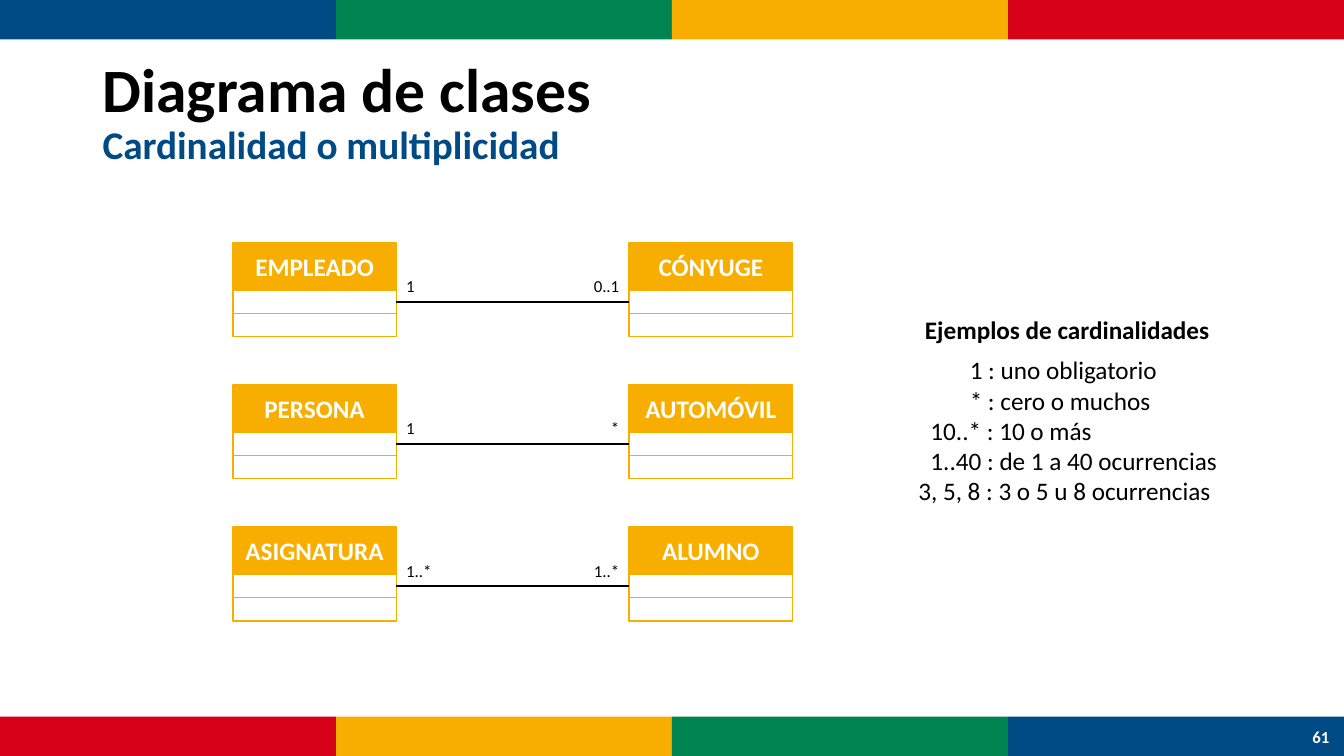
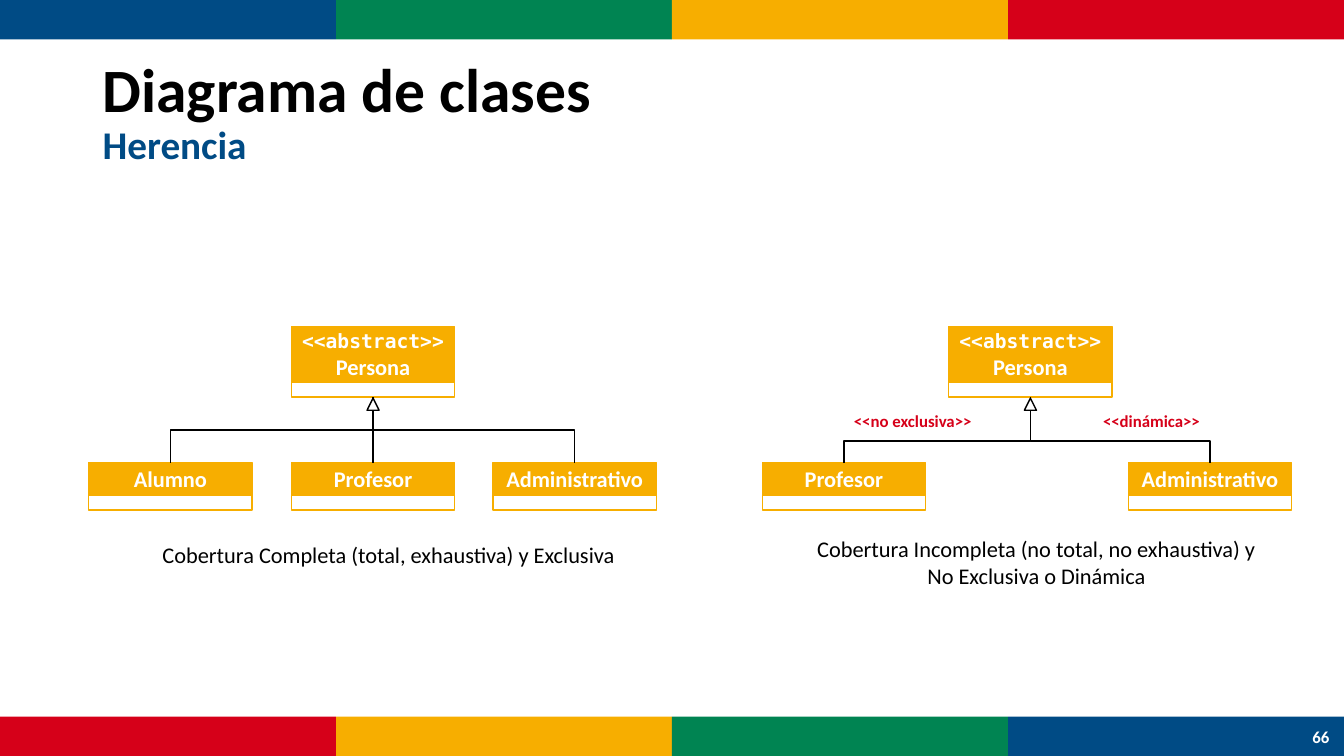
"""Builds two class diagram slides: multiplicity and inheritance."""
from lxml import etree
from pptx import Presentation
from pptx.dml.color import RGBColor
from pptx.enum.shapes import MSO_CONNECTOR, MSO_SHAPE
from pptx.enum.text import MSO_ANCHOR, PP_ALIGN
from pptx.oxml.ns import qn
from pptx.util import Inches, Pt

BLUE = RGBColor(0x00, 0x4B, 0x85)
GREEN = RGBColor(0x00, 0x84, 0x52)
YELLOW = RGBColor(0xF7, 0xAE, 0x00)
RED = RGBColor(0xD6, 0x00, 0x19)
BLACK = RGBColor(0, 0, 0)
WHITE = RGBColor(0xFF, 0xFF, 0xFF)
BAND_COLOURS = [BLUE, GREEN, YELLOW, RED]

FONT = "Calibri"
MONO = "DejaVu Sans Mono"
SLIDE_W, SLIDE_H = 13.33, 7.5
BAND_H = 0.39
CLASS_W = 1.62

ROW_TOP, ROW_PITCH = 2.41, 1.41
LEFT_X, RIGHT_X = 2.31, 6.24
LABEL_W, LABEL_H = 0.49, 0.3

PARENT_TOP, CHILD_TOP = 3.24, 4.59
PARENT_HEAD, CHILD_HEAD, MEMBERS_H = 0.55, 0.32, 0.15
PARENT_BOTTOM = PARENT_TOP + PARENT_HEAD + MEMBERS_H
ARROW = 0.12


def style(paragraph, size, colour=BLACK, bold=False, align=PP_ALIGN.LEFT, font=FONT):
    """Set the font and alignment of a paragraph."""
    paragraph.alignment = align
    paragraph.font.name = font
    paragraph.font.size = Pt(size)
    paragraph.font.bold = bold
    paragraph.font.color.rgb = colour


def add_box(slide, x, y, w, h, fill=None, line=None, kind=MSO_SHAPE.RECTANGLE):
    """Add a flat preset shape."""
    box = slide.shapes.add_shape(kind, Inches(x), Inches(y), Inches(w), Inches(h))
    box.shadow.inherit = False
    if fill is None:
        box.fill.background()
    else:
        box.fill.solid()
        box.fill.fore_color.rgb = fill
    if line is None:
        box.line.fill.background()
    else:
        box.line.color.rgb = line
        box.line.width = Pt(1)
    return box


def add_frame(slide, x, y, w, h, anchor=MSO_ANCHOR.TOP):
    """Add a wrapping text box and return its text frame."""
    frame = slide.shapes.add_textbox(Inches(x), Inches(y), Inches(w), Inches(h)).text_frame
    frame.word_wrap = True
    frame.vertical_anchor = anchor
    return frame


def add_label(slide, text, x, y, w, h, size, anchor=MSO_ANCHOR.TOP, **look):
    """Add a text box holding one paragraph."""
    paragraph = add_frame(slide, x, y, w, h, anchor).paragraphs[0]
    paragraph.text = text
    style(paragraph, size, **look)


def add_line(slide, kind, x1, y1, x2, y2):
    """Add a thin black connector without shadow."""
    line = slide.shapes.add_connector(kind, Inches(x1), Inches(y1), Inches(x2), Inches(y2))
    line.line.color.rgb = BLACK
    line.line.width = Pt(1)
    etree.SubElement(line._element.spPr, qn("a:effectLst"))
    return line


def join(slide, start, start_side, end, end_side):
    """Join the sides of two rectangles with a straight connector."""
    line = add_line(slide, MSO_CONNECTOR.STRAIGHT, 0, 0, 1, 1)
    line.begin_connect(start, start_side)
    line.end_connect(end, end_side)


def add_elbow_up(slide, x1, y1, x2, y2, bend):
    """Add an elbow that rises, crosses at the bend and rises again."""
    rise, run = y1 - y2, abs(x2 - x1)
    left = (x1 + x2 - rise) / 2
    top = (y1 + y2 - run) / 2
    elbow = add_line(slide, MSO_CONNECTOR.ELBOW, left, top, left + rise, top + run)
    frame = elbow._element.spPr.find(qn("a:xfrm"))
    rightwards = x2 > x1
    frame.set("rot", str((90 if rightwards else 270) * 60000))
    frame.set("flipH", "1" if rightwards else "0")
    frame.set("flipV", "1")
    adjustments = elbow._element.spPr.find(qn("a:prstGeom")).get_or_add_avLst()
    etree.SubElement(adjustments, qn("a:gd"), name="adj1", fmla=f"val {round(bend * 100000)}")


def add_class(slide, x, y, heading, head_h, row_h, rows=1):
    """Add a class with heading lines and empty rows; return all its boxes."""
    head = add_box(slide, x, y, CLASS_W, head_h, YELLOW, YELLOW)
    frame = head.text_frame
    frame.vertical_anchor = MSO_ANCHOR.MIDDLE
    frame.margin_left = frame.margin_right = frame.margin_top = frame.margin_bottom = 0
    for i, (text, size, font) in enumerate(heading):
        paragraph = frame.add_paragraph() if i else frame.paragraphs[0]
        paragraph.text = text
        style(paragraph, size, WHITE, True, PP_ALIGN.CENTER, font)
    members = [add_box(slide, x, y + head_h + i * row_h, CLASS_W, row_h, line=YELLOW)
               for i in range(rows)]
    return [head, *members]


def add_base(deck, subtitle, number):
    """Add a slide with colour bands, title and page number."""
    slide = deck.slides.add_slide(deck.slide_layouts[6])
    band_w = SLIDE_W / len(BAND_COLOURS)
    for y, colours in ((0, BAND_COLOURS), (SLIDE_H - BAND_H, BAND_COLOURS[::-1])):
        for i, colour in enumerate(colours):
            add_box(slide, i * band_w, y, band_w, BAND_H, colour)
    title = add_frame(slide, 0.92, 0.4, 11.5, 1.45, MSO_ANCHOR.MIDDLE).paragraphs[0]
    style(title, 44, bold=True)
    title.line_spacing = 0.9
    title.add_run().text = "Diagrama de clases"
    title.add_line_break()
    topic = title.add_run()
    topic.text = subtitle
    topic.font.size = Pt(28)
    topic.font.color.rgb = BLUE
    add_label(slide, number, 12.87, 7.11, 0.46, 0.4, 12, MSO_ANCHOR.MIDDLE,
              colour=WHITE, bold=True, align=PP_ALIGN.CENTER)
    return slide


def add_association(slide, y, left, left_count, right_count, right):
    """Add two associated classes with their multiplicities."""
    first, second = [add_class(slide, x, y, [(name, 18, FONT)], 0.47, 0.23, 2)
                     for x, name in ((LEFT_X, left), (RIGHT_X, right))]
    join(slide, first[1], 3, second[1], 1)
    label_y = y + 0.28
    add_label(slide, left_count, LEFT_X + CLASS_W, label_y, LABEL_W, LABEL_H, 12)
    add_label(slide, right_count, RIGHT_X - LABEL_W, label_y, LABEL_W, LABEL_H, 12,
              align=PP_ALIGN.RIGHT)


def add_hierarchy(slide, parent_x, children, bend):
    """Add an abstract class with its subclasses below."""
    heading = [("<<abstract>>", 14, MONO), ("Persona", 16, FONT)]
    parent = add_class(slide, parent_x, PARENT_TOP, heading, PARENT_HEAD, MEMBERS_H)
    centre = parent_x + CLASS_W / 2
    for name, x in children:
        child = add_class(slide, x, CHILD_TOP, [(name, 16, FONT)], CHILD_HEAD, MEMBERS_H)
        if x == parent_x:
            join(slide, child[0], 0, parent[-1], 2)
        else:
            add_elbow_up(slide, x + CLASS_W / 2, CHILD_TOP, centre, PARENT_BOTTOM, bend)
    add_box(slide, centre - ARROW / 2, PARENT_BOTTOM + 0.01, ARROW, ARROW, WHITE, BLACK,
            MSO_SHAPE.ISOSCELES_TRIANGLE)


def build_multiplicity(deck):
    """Build the slide on multiplicity."""
    slide = add_base(deck, "Cardinalidad o multiplicidad", "61")
    associations = [("EMPLEADO", "1", "0..1", "CÓNYUGE"),
                    ("PERSONA", "1", "*", "AUTOMÓVIL"),
                    ("ASIGNATURA", "1..*", "1..*", "ALUMNO")]
    for i, association in enumerate(associations):
        add_association(slide, ROW_TOP + i * ROW_PITCH, *association)

    add_label(slide, "Ejemplos de cardinalidades", 8.75, 3.07, 3.67, 0.4, 18,
              bold=True, align=PP_ALIGN.CENTER)
    examples = [("1 : uno obligatorio", 0.77), ("* : cero o muchos", 0.77),
                ("10..* : 10 o más", 0.38), ("1..40 : de 1 a 40 ocurrencias", 0.38),
                ("3, 5, 8 : 3 o 5 u 8 ocurrencias", 0.26)]
    frame = add_frame(slide, 8.75, 3.47, 3.67, 1.65)
    for i, (example, indent) in enumerate(examples):
        paragraph = frame.add_paragraph() if i else frame.paragraphs[0]
        paragraph.text = example
        paragraph._p.get_or_add_pPr().set("marL", str(Inches(indent)))
        style(paragraph, 18)


def build_inheritance(deck):
    """Build the slide on inheritance."""
    slide = add_base(deck, "Herencia", "66")
    add_hierarchy(slide, 2.89, [("Alumno", 0.88), ("Profesor", 2.89),
                                ("Administrativo", 4.89)], 0.5)
    add_hierarchy(slide, 9.41, [("Profesor", 7.56), ("Administrativo", 11.19)], 0.33)
    add_label(slide, "<<no exclusiva>>", 8.37, 4.03, 1.85, 0.3, 12, colour=RED, bold=True)
    add_label(slide, "<<dinámica>>", 10.22, 4.03, 1.78, 0.3, 12, colour=RED, bold=True,
              align=PP_ALIGN.RIGHT)
    captions = [
        ("Cobertura Completa (total, exhaustiva) y Exclusiva", 1.19, 5.25, 5.33, 0.5),
        ("Cobertura Incompleta (no total, no exhaustiva) y No Exclusiva o Dinámica",
         7.98, 5.16, 4.6, 0.84)]
    for caption, x, y, w, h in captions:
        add_label(slide, caption, x, y, w, h, 16, MSO_ANCHOR.MIDDLE, align=PP_ALIGN.CENTER)


def main():
    """Build and save the deck."""
    deck = Presentation()
    deck.slide_width = Inches(SLIDE_W)
    deck.slide_height = Inches(SLIDE_H)
    build_multiplicity(deck)
    build_inheritance(deck)
    deck.save("out.pptx")


if __name__ == "__main__":
    main()
